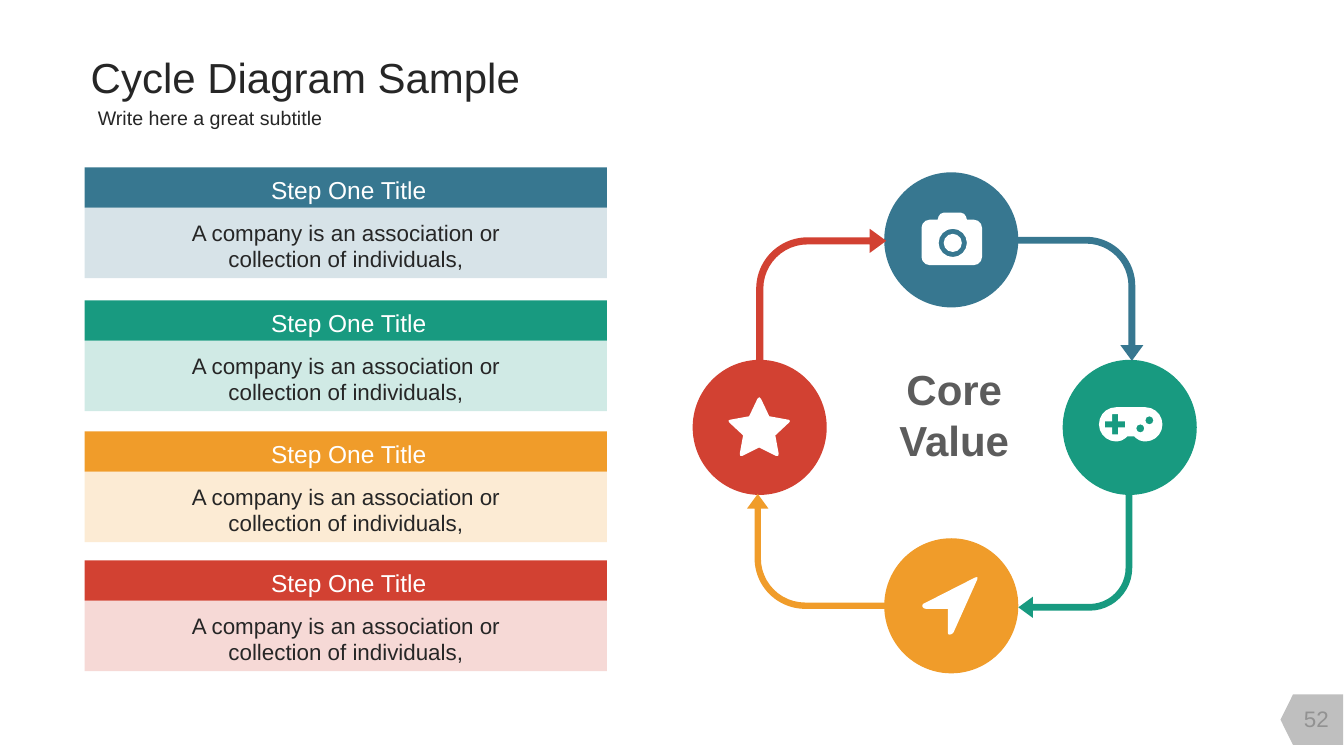
import math
from dataclasses import dataclass

import lxml.etree
import pptx
import pptx.dml.color
import pptx.enum.shapes
import pptx.enum.text
import pptx.oxml.ns
import pptx.util

Inches = pptx.util.Inches
SHAPE = pptx.enum.shapes.MSO_SHAPE
ALIGN = pptx.enum.text.PP_ALIGN
ANCHOR = pptx.enum.text.MSO_ANCHOR


@dataclass(frozen=True)
class Theme:
    font: str = "Arial"
    blue: str = "377790"
    green: str = "189A80"
    orange: str = "F09C2A"
    red: str = "D24132"
    white: str = "FFFFFF"
    ink: str = "262626"
    core: str = "5C5C5C"
    tab: str = "BFBFBF"
    number: str = "929292"
    title_size: float = 30
    subtitle_size: float = 14
    card_title_size: float = 17.5
    body_size: float = 16


THEME = Theme()


def rgb(color):
    return pptx.dml.color.RGBColor.from_string(color)


def paint(shape, color, opacity=None):
    shape.shadow.inherit = False
    shape.fill.solid()
    shape.fill.fore_color.rgb = rgb(color)
    shape.line.fill.background()
    if opacity is not None:
        tone = shape.element.spPr.find(".//" + pptx.oxml.ns.qn("a:srgbClr"))
        alpha = lxml.etree.SubElement(tone, pptx.oxml.ns.qn("a:alpha"))
        alpha.set("val", str(opacity * 1000))


def add_block(page, kind, box, color, opacity=None):
    shape = page.shapes.add_shape(kind, *map(Inches, box))
    paint(shape, color, opacity)
    return shape


def add_text(page, box, text, size, color, align=ALIGN.CENTER, anchor=ANCHOR.TOP,
             insets=(0.1, 0.05), wrap=True, bold=False):
    frame = page.shapes.add_textbox(*map(Inches, box)).text_frame
    frame.word_wrap = wrap
    frame.auto_size = pptx.enum.text.MSO_AUTO_SIZE.SHAPE_TO_FIT_TEXT
    frame.vertical_anchor = anchor
    frame.margin_left = frame.margin_right = Inches(insets[0])
    frame.margin_top = frame.margin_bottom = Inches(insets[1])
    frame.text = text
    for para in frame.paragraphs:
        para.alignment = align
        for span in para.runs:
            span.font.name = THEME.font
            span.font.size = pptx.util.Pt(size)
            span.font.bold = bold
            span.font.color.rgb = rgb(color)


def add_heading(page, left, top):
    style = dict(align=ALIGN.LEFT, anchor=ANCHOR.MIDDLE, insets=(0.13, 0.07), wrap=False)
    add_text(page, (left, top, 4.56, 0.64), "Cycle Diagram Sample",
             THEME.title_size, THEME.ink, **style)
    add_text(page, (left + 0.07, top + 0.54, 2.56, 0.37), "Write here a great subtitle",
             THEME.subtitle_size, THEME.ink, **style)


def add_card(page, left, top, width, color):
    add_block(page, SHAPE.RECTANGLE, (left, top, width, 0.4), color)
    add_block(page, SHAPE.RECTANGLE, (left, top + 0.4, width, 0.7), color, 20)
    add_text(page, (left, top + 0.46, width, 0.64),
             "A company is an association or\ncollection of individuals,",
             THEME.body_size, THEME.ink)
    add_text(page, (left + 1.74, top + 0.03, 1.76, 0.4), "Step One Title",
             THEME.card_title_size, THEME.white, wrap=False)


def circle(x, y, radius, steps):
    angles = [2 * math.pi * step / steps for step in range(steps)]
    return [(x + radius * math.cos(a), y + radius * math.sin(a)) for a in angles]


def rounded(corners):
    points = []
    for index, (x, y, radius) in enumerate(corners):
        if not radius:
            points.append((x, y))
            continue
        ends = []
        for near_x, near_y, _ in (corners[index - 1], corners[(index + 1) % len(corners)]):
            share = radius / math.hypot(near_x - x, near_y - y)
            ends.append((x + (near_x - x) * share, y + (near_y - y) * share))
        (x0, y0), (x3, y3) = ends
        x1, y1 = x0 + (x - x0) * 0.55, y0 + (y - y0) * 0.55
        x2, y2 = x3 + (x - x3) * 0.55, y3 + (y - y3) * 0.55
        steps = 1 + math.ceil(radius * 20)
        for step in range(steps + 1):
            t = step / steps
            a, b, c, d = (1 - t) ** 3, 3 * t * (1 - t) ** 2, 3 * t * t * (1 - t), t ** 3
            points.append((a * x0 + b * x1 + c * x2 + d * x3,
                           a * y0 + b * y1 + c * y2 + d * y3))
    return points


def camera_icon():
    body = rounded([(-0.3, -0.2, 0.08), (-0.14, -0.2, 0), (-0.12, -0.27, 0.04),
                    (0.13, -0.27, 0.04), (0.15, -0.2, 0), (0.3, -0.2, 0.08),
                    (0.3, 0.25, 0.08), (-0.3, 0.25, 0.08)])
    return [body, circle(0.01, 0.03, 0.14, 16)[::-1], circle(0.01, 0.03, 0.09, 12)]


def gamepad_icon():
    body = rounded([(-0.31, -0.2, 0.17), (0.32, -0.2, 0.17), (0.32, 0.14, 0.17),
                    (0.09, 0.14, 0.05), (0.04, 0.09, 0), (-0.03, 0.09, 0),
                    (-0.08, 0.14, 0.05), (-0.31, 0.14, 0.17)])
    arm, thick = 0.1, 0.03
    quarter = [(thick, -arm), (thick, -thick), (arm, -thick)]
    cross = []
    for _ in range(4):
        cross += quarter
        quarter = [(-y, x) for x, y in quarter]
    cross = [(x - 0.15, y - 0.03) for x, y in cross]
    holes = [cross, circle(0.1, 0.01, 0.04, 8), circle(0.19, -0.07, 0.04, 8)]
    return [body] + [hole[::-1] for hole in holes]


def pointer_icon():
    return [rounded([(0.27, -0.3, 0.04), (0.01, 0.28, 0.02), (-0.04, 0.29, 0.02),
                     (-0.04, 0.03, 0), (-0.28, 0.03, 0.02), (-0.3, -0.01, 0.02)])]


def star_icon():
    half = [(0, -0.33, 0.04), (0.1, -0.12, 0), (0.32, -0.08, 0.03),
            (0.16, 0.07, 0), (0.2, 0.29, 0.04), (0, 0.19, 0)]
    outline = rounded(half + [(-x, y, radius) for x, y, radius in half[4:0:-1]])
    return [[(x - 0.01, y + 0.01) for x, y in outline]]


def add_icon(page, x, y, outlines):
    placed = [[(Inches(x + dx), Inches(y + dy)) for dx, dy in outline] for outline in outlines]
    builder = page.shapes.build_freeform(*placed[0][0])
    for index, outline in enumerate(placed):
        if index:
            builder.move_to(*outline[0])
        builder.add_line_segments(outline[1:], close=True)
    paint(builder.convert_to_shape(), THEME.white)


def add_cycle(page, left, top):
    size = 1.34
    nodes = [(2.57, 4.3, THEME.orange, pointer_icon()),
             (4.34, 2.53, THEME.green, gamepad_icon()),
             (0.67, 2.53, THEME.red, star_icon()),
             (2.57, 0.67, THEME.blue, camera_icon())]
    arrows = [((3.23, 3.19, 1.13, 1.23), 180, THEME.green, (0.059, 0.376)),
              ((3.16, 0.56, 1.23, 1.39), 90, THEME.blue, (0.055, 0.395)),
              ((0.63, 0.56, 1.29, 1.3), 0, THEME.red, (0.055, 0.395)),
              ((0.67, 3.06, 1.14, 1.4), 270, THEME.orange, (0.055, 0.44))]
    for x, y, color, _ in nodes:
        add_block(page, SHAPE.OVAL,
                  (left + x - size / 2, top + y - size / 2, size - 0.01, size), color)
    for (x, y, width, height), turn, color, (shaft, bend) in arrows:
        arrow = add_block(page, SHAPE.BENT_ARROW, (left + x, top + y, width, height), color)
        arrow.rotation = turn
        for index, value in enumerate((shaft, 0.093, 0.127, bend)):
            arrow.adjustments[index] = value
    for x, y, _, outlines in nodes:
        add_icon(page, left + x, top + y, outlines)
    add_text(page, (left + 1.69, top + 1.83, 1.81, 1.14), "Core\nValue", THEME.title_size,
             THEME.core, anchor=ANCHOR.MIDDLE, insets=(0.13, 0.07), bold=True)


def add_page_number(page, left, top):
    tab = add_block(page, SHAPE.FLOWCHART_OFFPAGE_CONNECTOR,
                    (left + 0.04, top, 0.5, 0.62), THEME.tab)
    tab.rotation = 90
    add_text(page, (left, top + 0.1, 0.67, 0.4), "52", THEME.body_size, THEME.number,
             anchor=ANCHOR.MIDDLE)


def main():
    deck = pptx.Presentation()
    deck.slide_width, deck.slide_height = Inches(13.33), Inches(7.5)
    page = deck.slides.add_slide(deck.slide_layouts[6])
    add_page_number(page, 12.72, 6.83)
    add_cycle(page, 6.87, 1.71)
    colors = (THEME.blue, THEME.green, THEME.orange, THEME.red)
    for top, color in zip((1.66, 2.98, 4.28, 5.56), colors):
        add_card(page, 0.84, top, 5.18, color)
    add_heading(page, 0.77, 0.44)
    deck.save("out.pptx")


if __name__ == "__main__":
    main()
